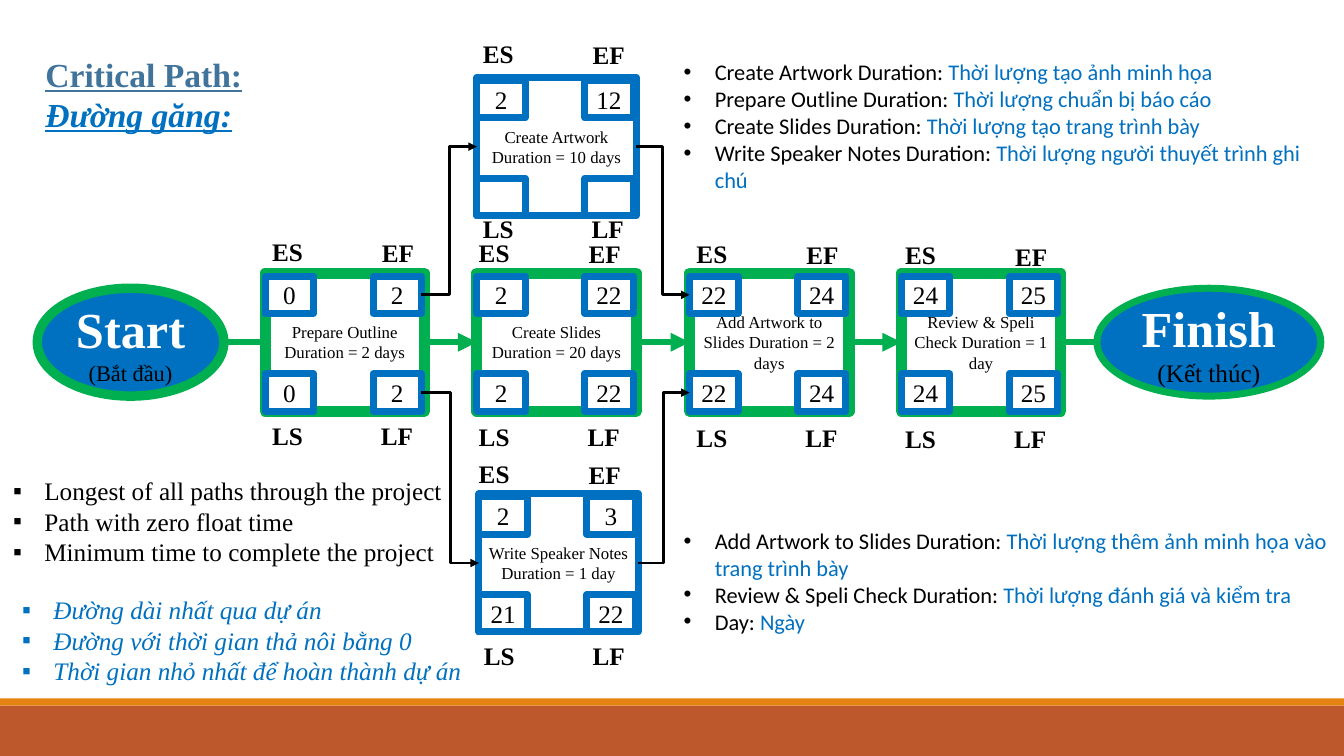
from dataclasses import dataclass
from itertools import product

from pptx import Presentation, util as u
from pptx.dml.color import RGBColor
from pptx.enum import shapes, text
from pptx.oxml.ns import qn
from lxml import etree

PX = u.Inches(1) // 100
COLORS = {"blue": "0070C0", "green": "00B050", "slate": "40749B", "black": "000000",
          "white": "FFFFFF", "rust": "BD582C", "orange": "E48312"}
SERIF, SANS = "Times New Roman", "Calibri"


@dataclass
class Task:
    caption: str
    left: int
    top: int
    values: tuple[str, str, str, str]
    early_label: tuple[int, int]
    late_label: tuple[int, int]
    critical: bool = True


@dataclass
class Bullets:
    placeholder: int
    bounds: tuple[int, int, int, int]
    lines: list[tuple[str, str]]
    marker: str = "•"
    font: str = SANS
    size: int = 16
    italic: bool = False
    wrap: bool = True


TASKS = {
    "outline": Task("Prepare Outline Duration = 2 days", 263, 271, ("0", "2", "0", "2"),
                    (260, 230), (260, 412)),
    "notes": Task("Write Speaker Notes Duration = 1 day", 475, 490, ("2", "3", "21", "22"),
                  (465, 450), (470, 630), critical=False),
    "artwork": Task("Create Artwork Duration = 10 days", 473, 77, ("2", "12", "", ""),
                    (469, 33), (469, 207), critical=False),
    "slides": Task("Create Slides Duration = 20 days", 473, 271, ("2", "22", "2", "22"),
                   (465, 231), (465, 413)),
    "merge": Task("Add Artwork to Slides Duration = 2 days", 684, 271, ("22", "24", "22", "24"),
                  (681, 232), (681, 414)),
    "review": Task("Review & Speli Check Duration = 1 day", 894, 271, ("24", "25", "24", "25"),
                   (888, 233), (888, 415)),
}

# Each line is a black part followed by a blue part.
LISTS = [
    Bullets(1, (3, 467, 450, 101), [
        ("Longest of all paths through the project", ""),
        ("Path with zero float time", ""),
        ("Minimum time to complete the project", ""),
    ], "▪", SERIF, 18, wrap=False),
    Bullets(3, (12, 585, 461, 101), [
        ("", "Đường dài nhất qua dự án"),
        ("", "Đường với thời gian thả nôi bằng 0"),
        ("", "Thời gian nhỏ nhất để hoàn thành dự án"),
    ], "▪", SERIF, 18, italic=True, wrap=False),
    Bullets(4, (668, 518, 665, 118), [
        ("Add Artwork to Slides Duration: ", "Thời lượng thêm ảnh minh họa vào trang trình bày"),
        ("Review & Speli Check Duration: ", "Thời lượng đánh giá và kiểm tra"),
        ("Day: ", "Ngày"),
    ]),
    Bullets(2, (668, 53, 665, 145), [
        ("Create Artwork Duration: ", "Thời lượng tạo ảnh minh họa"),
        ("Prepare Outline Duration: ", "Thời lượng chuẩn bị báo cáo"),
        ("Create Slides Duration: ", "Thời lượng tạo trang trình bày"),
        ("Write Speaker Notes Duration: ", "Thời lượng người thuyết trình ghi chú"),
    ]),
]


def rgb(name: str) -> RGBColor:
    return RGBColor.from_string(COLORS[name])


def next_paragraph(frame, align=text.PP_ALIGN.LEFT):
    """Return the first paragraph while it is empty, otherwise a new one."""
    first = frame.paragraphs[0]
    paragraph = frame.add_paragraph() if first.runs else first
    paragraph.alignment = align
    paragraph.space_before = u.Pt(0)
    return paragraph


def write(paragraph, content: str, *, size: int, color: str = "black", font: str = SERIF,
          bold: bool = False, italic: bool = False, underline: bool = False) -> None:
    run = paragraph.add_run()
    run.text = content
    style = run.font
    style.name, style.size = font, u.Pt(size)
    style.bold, style.italic, style.underline = bold, italic, underline
    style.color.rgb = rgb(color)


def place(shape, left: int, top: int, width: int, height: int, wrap: bool = True) -> None:
    """Move a placeholder and top-align its text."""
    shape.left, shape.top, shape.width, shape.height = (
        v * PX for v in (left, top, width, height))
    frame = shape.text_frame
    frame.auto_size = text.MSO_AUTO_SIZE.NONE
    frame.vertical_anchor = text.MSO_ANCHOR.TOP
    frame.word_wrap = wrap


def add_figure(slide, bounds: tuple[int, int, int, int], fill: str, line: str = "",
               weight: float = 0, kind=shapes.MSO_SHAPE.RECTANGLE):
    shape = slide.shapes.add_shape(kind, *(v * PX for v in bounds))
    shape.shadow.inherit = False
    shape.fill.solid()
    shape.fill.fore_color.rgb = rgb(fill)
    if line:
        shape.line.color.rgb = rgb(line)
        shape.line.width = u.Pt(weight)
    else:
        shape.line.fill.background()
    shape.text_frame.vertical_anchor = text.MSO_ANCHOR.MIDDLE
    shape.text_frame.word_wrap = True
    return shape


def add_task(slide, task: Task) -> list:
    """Return the task box followed by its ES, EF, LS and LF cells."""
    line, weight = ("green", 8) if task.critical else ("blue", 5)
    parts = [add_figure(slide, (task.left, task.top, 158, 137), "white", line, weight)]
    write(next_paragraph(parts[0].text_frame, text.PP_ALIGN.CENTER), task.caption, size=12)
    for value, (down, across) in zip(task.values, product((3, 100), (0, 107))):
        cell = add_figure(slide, (task.left + across, task.top + down, 48, 37),
                          "white", "blue", 5)
        if value:
            write(next_paragraph(cell.text_frame, text.PP_ALIGN.CENTER), value, size=18)
        parts.append(cell)
    return parts


def add_label(slide, name: str, left: int, top: int) -> None:
    box = slide.shapes.add_textbox(left * PX, top * PX, 54 * PX, 40 * PX)
    box.text_frame.word_wrap = False
    box.text_frame.auto_size = text.MSO_AUTO_SIZE.SHAPE_TO_FIT_TEXT
    write(next_paragraph(box.text_frame), name, size=18, bold=True)


def add_labels(slide, task: Task) -> None:
    left, top = task.early_label
    add_label(slide, "ES", left, top)
    add_label(slide, "EF", left + 109, top + 1)
    left, top = task.late_label
    add_label(slide, "LS", left, top)
    add_label(slide, "LF", left + 108, top)


def add_terminal(slide, bounds: tuple[int, int, int, int], name: str, note: str,
                 note_size: int, weight: float):
    shape = add_figure(slide, bounds, "blue", "green", weight, shapes.MSO_SHAPE.OVAL)
    center = text.PP_ALIGN.CENTER
    write(next_paragraph(shape.text_frame, center), name, size=36, color="white", bold=True)
    write(next_paragraph(shape.text_frame, center), note, size=note_size)
    return shape


def connect(slide, start, end, color: str = "green", weight: float = 4.5,
            kind=shapes.MSO_CONNECTOR.STRAIGHT, arrow: bool = True) -> None:
    """Join the right middle of start to the left middle of end."""
    connector = slide.shapes.add_connector(
        kind, start.left + start.width, start.top + start.height // 2,
        end.left, end.top + end.height // 2)
    connector.line.color.rgb = rgb(color)
    connector.line.width = u.Pt(weight)
    if arrow:
        etree.SubElement(connector.line._get_or_add_ln(), qn("a:tailEnd"), type="triangle")
    etree.SubElement(connector._element.spPr, qn("a:effectLst"))


def fill_list(slide, bullets: Bullets) -> None:
    shape = slide.placeholders[bullets.placeholder]
    place(shape, *bullets.bounds, wrap=bullets.wrap)
    for line in bullets.lines:
        paragraph = next_paragraph(shape.text_frame)
        properties = paragraph._p.get_or_add_pPr()
        properties.set("marL", str(31 * PX))
        properties.set("indent", str(-31 * PX))
        etree.SubElement(properties, qn("a:buFont"), typeface="Arial")
        etree.SubElement(properties, qn("a:buChar"), char=bullets.marker)
        for part, color in zip(line, ("black", "blue")):
            if part:
                write(paragraph, part, size=bullets.size, color=color,
                      font=bullets.font, italic=bullets.italic)


def main() -> None:
    presentation = Presentation()
    presentation.slide_width, presentation.slide_height = 1333 * PX, 750 * PX
    slide = presentation.slides.add_slide(presentation.slide_layouts.get_by_name("Comparison"))
    add_figure(slide, (0, 700, 1333, 50), "rust")
    add_figure(slide, (0, 693, 1333, 7), "orange")

    title = slide.shapes.title
    place(title, 35, 48, 411, 125)
    for line, color, italic in (("Critical Path:", "slate", False), ("Đường găng:", "blue", True)):
        write(next_paragraph(title.text_frame), line, size=24, color=color,
              bold=True, italic=italic, underline=True)
    for bullets in LISTS:
        fill_list(slide, bullets)

    start = add_terminal(slide, (37, 286, 185, 107), "Start", "(Bắt đầu)", 16, 6.75)
    finish = add_terminal(slide, (1088, 286, 222, 107), "Finish", "(Kết thúc)", 18, 5)
    drawn = {name: add_task(slide, task) for name, task in TASKS.items()}
    for task in TASKS.values():
        add_labels(slide, task)

    outline, _, outline_ef, _, outline_lf = drawn["outline"]
    merge, merge_es, _, merge_ls, _ = drawn["merge"]
    artwork, notes, slides, review = (
        drawn[name][0] for name in ("artwork", "notes", "slides", "review"))
    connect(slide, start, outline, arrow=False)
    connect(slide, review, finish, weight=4, arrow=False)
    for origin, target in ((outline, slides), (slides, merge), (merge, review)):
        connect(slide, origin, target)
    for origin, target in ((outline_ef, artwork), (outline_lf, notes),
                           (artwork, merge_es), (notes, merge_ls)):
        connect(slide, origin, target, "black", 2, shapes.MSO_CONNECTOR.ELBOW)

    presentation.save("out.pptx")


if __name__ == "__main__":
    main()
